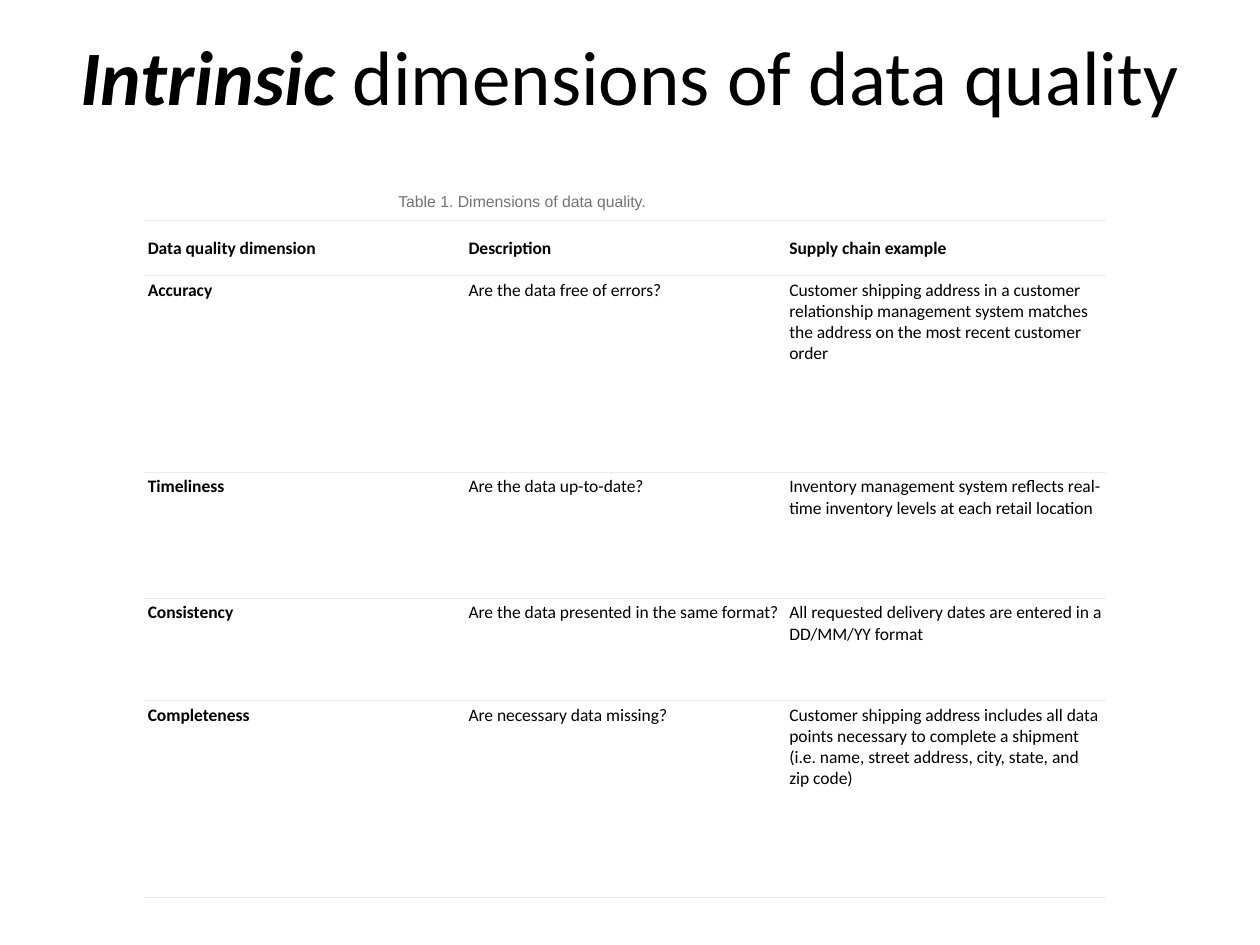
"""Build a slide with a table of intrinsic data quality dimensions."""
import pptx
import pptx.dml.color
import pptx.enum.text
import pptx.oxml
import pptx.oxml.ns
import pptx.util

Pt = pptx.util.Pt
ANCHOR = pptx.enum.text.MSO_ANCHOR
ALIGN = pptx.enum.text.PP_ALIGN

COLORS = {"text": "000000", "caption": "737373", "rule": "EBEBEB"}
TITLE = [("Intrinsic ", True), ("dimensions of data quality", False)]
CAPTION = "Table 1.\u00a0Dimensions of data quality."
ROWS = [
    ("Data quality dimension", "Description", "Supply chain example"),
    ("Accuracy", "Are the data free of errors?",
     "Customer shipping address in a customer relationship management system "
     "matches the address on the most recent customer order"),
    ("Timeliness", "Are the data up-to-date?",
     "Inventory management system reflects real-time inventory levels at each retail location"),
    ("Consistency", "Are the data presented in the same format?",
     "All requested delivery dates are entered in a DD/MM/YY format"),
    ("Completeness", "Are necessary data missing?",
     "Customer shipping address includes all data points necessary to complete a shipment "
     "(i.e. name, street address, city, state, and zip code)"),
]
ROW_HEIGHTS = [31.5, 112.5, 72, 58.5, 112.5]
COLUMN_WIDTH = 183.3
TABLE_LEFT, TABLE_TOP = 82.2, 126
CELL_INSET = 2.25


def add_run(p, text, size, font="Calibri", color="text", bold=False, italic=False):
    """Add one formatted run to a paragraph."""
    r = p.add_run()
    r.text = text
    r.font.size = Pt(size)
    r.font.name = font
    r.font.bold = bold
    r.font.italic = italic
    r.font.color.rgb = pptx.dml.color.RGBColor.from_string(COLORS[color])


def set_borders(cell):
    """Rule a cell above and below and leave its sides open."""
    rule = f'<a:solidFill><a:srgbClr val="{COLORS["rule"]}"/></a:solidFill>'
    sides = {"lnL": "<a:noFill/>", "lnR": "<a:noFill/>", "lnT": rule, "lnB": rule}
    tcPr = cell._tc.get_or_add_tcPr()
    for i, (tag, paint) in enumerate(sides.items()):
        ns = pptx.oxml.ns.nsdecls("a")
        xml = f'<a:{tag} {ns} w="{Pt(0.75)}">{paint}</a:{tag}>'
        tcPr.insert(i, pptx.oxml.parse_xml(xml))


def add_title(s):
    """Place and format the title."""
    sp = s.shapes.title
    sp.left, sp.top, sp.width, sp.height = Pt(36), Pt(-2.16), Pt(648), Pt(90)
    sp.text_frame.vertical_anchor = ANCHOR.MIDDLE
    p = sp.text_frame.paragraphs[0]
    p.alignment = ALIGN.CENTER
    for text, strong in TITLE:
        add_run(p, text, 44, bold=strong, italic=strong)


def add_dimensions(s):
    """Add the table of dimensions."""
    columns = len(ROWS[0])
    table = s.shapes.add_table(
        len(ROWS), columns, Pt(TABLE_LEFT), Pt(TABLE_TOP),
        Pt(COLUMN_WIDTH * columns), Pt(sum(ROW_HEIGHTS))).table
    table.horz_banding = False
    for column in table.columns:
        column.width = Pt(COLUMN_WIDTH)
    for i, (texts, height) in enumerate(zip(ROWS, ROW_HEIGHTS)):
        table.rows[i].height = Pt(height)
        for j, text in enumerate(texts):
            cell = table.cell(i, j)
            cell.fill.background()
            cell.margin_left = cell.margin_right = Pt(CELL_INSET)
            cell.margin_top = cell.margin_bottom = Pt(CELL_INSET)
            cell.vertical_anchor = ANCHOR.MIDDLE if i == 0 else ANCHOR.TOP
            set_borders(cell)
            add_run(cell.text_frame.paragraphs[0], text, 10, bold=i == 0 or j == 0)


def add_caption(s):
    """Add the caption above the table."""
    tf = s.shapes.add_textbox(Pt(219), Pt(108), Pt(200), Pt(14)).text_frame
    tf.word_wrap = True
    tf.vertical_anchor = ANCHOR.MIDDLE
    tf.margin_left = tf.margin_right = Pt(8.64)
    tf.margin_top = tf.margin_bottom = 0
    add_run(tf.paragraphs[0], CAPTION, 9, font="Arial", color="caption")


def main():
    """Build and save the slide."""
    prs = pptx.Presentation()
    prs.slide_width, prs.slide_height = Pt(720), Pt(540)
    s = prs.slides.add_slide(prs.slide_layouts[5])
    add_title(s)
    add_dimensions(s)
    add_caption(s)
    prs.save("out.pptx")


if __name__ == "__main__":
    main()
